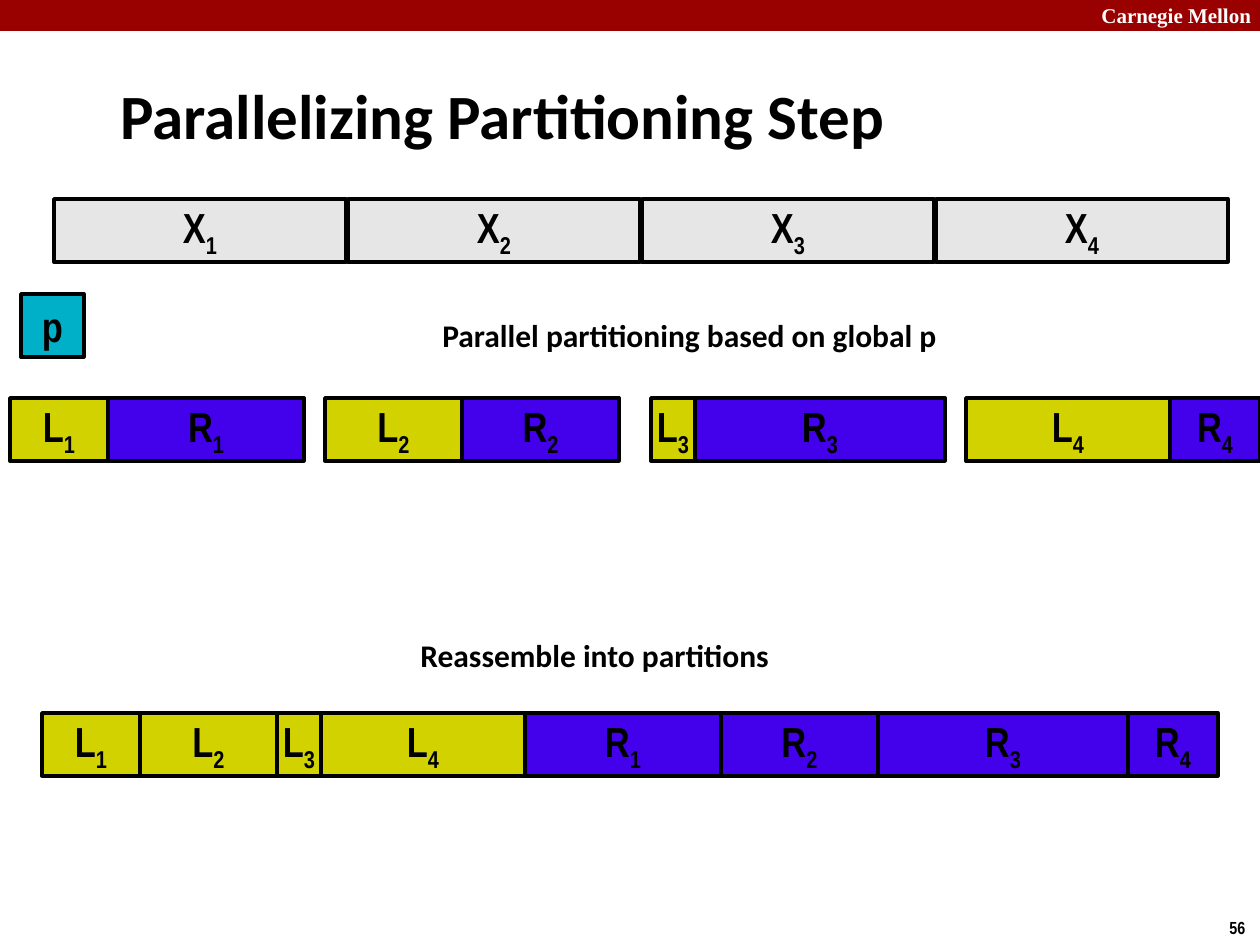
from dataclasses import dataclass

from pptx import Presentation
from pptx.dml.color import RGBColor
from pptx.enum.shapes import MSO_SHAPE
from pptx.enum.text import MSO_ANCHOR, PP_ALIGN
from pptx.util import Pt

RECTANGLE = MSO_SHAPE.RECTANGLE
TOP, MIDDLE = MSO_ANCHOR.TOP, MSO_ANCHOR.MIDDLE
CENTER = PP_ALIGN.CENTER

EMU_PER_PX = 914400 / 126
SLIDE_W, SLIDE_H = 1260, 945
BLOCK_H = 63
LEFT_WIDTHS = [98, 137, 44, 204]
RIGHT_WIDTHS = [196, 157, 250, 90]
PAIR_LEFTS = [10, 325, 651, 966]


@dataclass(frozen=True)
class Theme:
    banner: str = "990000"
    banner_text: str = "FFFFFF"
    ink: str = "000000"
    array: str = "E6E6E6"
    pivot: str = "00B0C8"
    left: str = "D2D200"
    right: str = "4300EA"
    heading_font: str = "Calibri"
    block_font: str = "Arial Narrow"
    banner_font: str = "Times New Roman"
    title_size: int = 36
    block_size: int = 24
    caption_size: int = 18
    banner_size: int = 12
    number_size: int = 10
    border: int = 2


THEME = Theme()


def px(*lengths):
    return [round(length * EMU_PER_PX) for length in lengths]


def style_run(run, font, size, color):
    run.font.name = font
    run.font.size = Pt(size)
    run.font.bold = True
    run.font.color.rgb = RGBColor.from_string(color)


def add_label(slide, box, text, font, size, color=THEME.ink, anchor=TOP, wrap=False):
    frame = slide.shapes.add_textbox(*px(*box)).text_frame
    frame.word_wrap = wrap
    frame.vertical_anchor = anchor
    frame.text = text
    style_run(frame.paragraphs[0].runs[0], font, size, color)


def add_rectangle(slide, box, fill):
    rectangle = slide.shapes.add_shape(RECTANGLE, *px(*box))
    rectangle.shadow.inherit = False
    rectangle.fill.solid()
    rectangle.fill.fore_color.rgb = RGBColor.from_string(fill)
    return rectangle


def add_block(slide, box, fill, letter, index=""):
    block = add_rectangle(slide, box, fill)
    block.line.color.rgb = RGBColor.from_string(THEME.ink)
    block.line.width = Pt(THEME.border)
    frame = block.text_frame
    frame.word_wrap = False
    frame.vertical_anchor = MIDDLE
    frame.text = letter
    label = frame.paragraphs[0]
    label.alignment = CENTER
    if index:
        subscript = label.add_run()
        subscript.text = str(index)
        subscript._r.get_or_add_rPr().set("baseline", "-25000")
    for run in label.runs:
        style_run(run, THEME.block_font, THEME.block_size, THEME.ink)


def add_strip(slide, left, top, blocks):
    for letter, index, width, fill in blocks:
        add_block(slide, (left, top, width, BLOCK_H), fill, letter, index)
        left += width


def add_banner(slide, left, top, width, height):
    banner = add_rectangle(slide, (left, top, width, height), THEME.banner)
    banner.line.fill.background()
    add_label(slide, (left + width - 171, top - 4, 180, 38), "Carnegie Mellon",
              THEME.banner_font, THEME.banner_size, THEME.banner_text, wrap=True)


def add_caption(slide, left, top, width, text):
    add_label(slide, (left, top, width, 51), text, THEME.heading_font, THEME.caption_size)


def add_input_array(slide, left, top, width):
    pitch = width // 4
    for i in range(4):
        add_block(slide, (left + i * pitch, top, pitch - 2, BLOCK_H), THEME.array, "X", i + 1)


def add_local_partitions(slide, top, lefts, rights):
    for start, pair in zip(PAIR_LEFTS, zip(lefts, rights)):
        add_strip(slide, start, top, pair)


def main():
    presentation = Presentation()
    presentation.slide_width, presentation.slide_height = px(SLIDE_W, SLIDE_H)
    slide = presentation.slides.add_slide(presentation.slide_layouts[6])

    lefts = [("L", i, width, THEME.left) for i, width in enumerate(LEFT_WIDTHS, 1)]
    rights = [("R", i, width, THEME.right) for i, width in enumerate(RIGHT_WIDTHS, 1)]

    add_banner(slide, 0, 0, SLIDE_W, 31)
    add_label(slide, (1217, 911, 43, 34), "56", THEME.block_font, THEME.number_size)
    add_label(slide, (108, 62, 1046, 105), "Parallelizing Partitioning Step",
              THEME.heading_font, THEME.title_size, anchor=MIDDLE, wrap=True)
    add_input_array(slide, 54, 199, 1176)
    add_block(slide, (21, 294, BLOCK_H, BLOCK_H), THEME.pivot, "p")
    add_caption(slide, 430, 310, 527, "Parallel partitioning based on global p")
    add_local_partitions(slide, 398, lefts, rights)
    add_caption(slide, 408, 630, 379, "Reassemble into partitions")
    add_strip(slide, 42, 713, lefts + rights)

    presentation.save("out.pptx")


if __name__ == "__main__":
    main()
